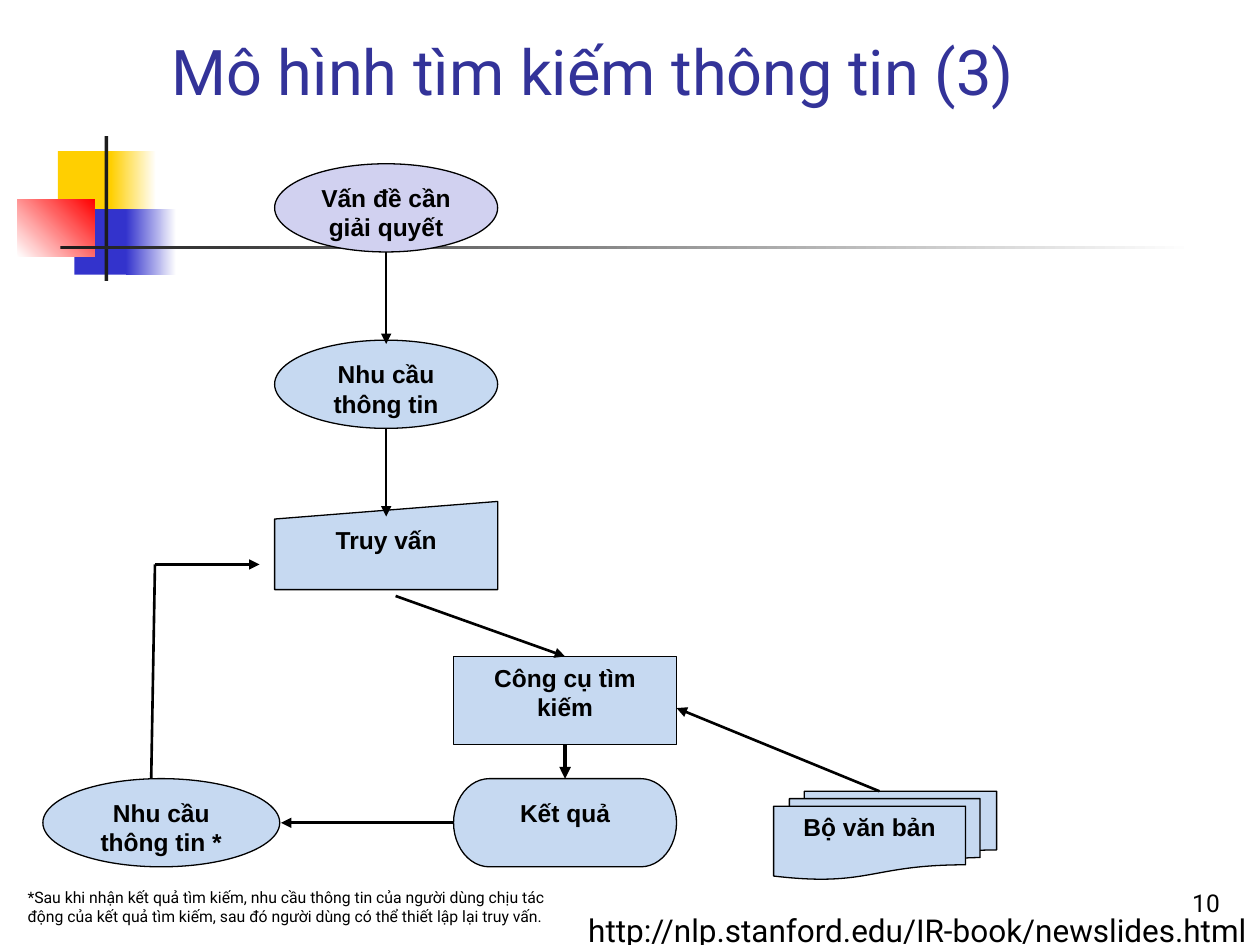
from lxml import etree
from pptx import Presentation
from pptx.dml.color import RGBColor
from pptx.enum.shapes import MSO_CONNECTOR, MSO_SHAPE
from pptx.enum.text import MSO_ANCHOR, MSO_AUTO_SIZE, PP_ALIGN
from pptx.oxml.ns import qn
from pptx.util import Inches, Pt

RECT = MSO_SHAPE.RECTANGLE
ELLIPSE = MSO_SHAPE.OVAL
MANUAL_INPUT = MSO_SHAPE.FLOWCHART_MANUAL_INPUT
PROCESS = MSO_SHAPE.FLOWCHART_PROCESS
TERMINATOR = MSO_SHAPE.FLOWCHART_TERMINATOR
MULTIDOCUMENT = MSO_SHAPE.FLOWCHART_MULTIDOCUMENT
STRAIGHT = MSO_CONNECTOR.STRAIGHT
TOP, BOTTOM = MSO_ANCHOR.TOP, MSO_ANCHOR.BOTTOM
LEFT, CENTER, RIGHT = PP_ALIGN.LEFT, PP_ALIGN.CENTER, PP_ALIGN.RIGHT
NO_FIT = MSO_AUTO_SIZE.NONE

WHITE = RGBColor(0xFF, 0xFF, 0xFF)
BLACK = RGBColor(0x00, 0x00, 0x00)
CHARCOAL = RGBColor(0x1C, 0x1C, 0x1C)
YELLOW = RGBColor(0xFF, 0xCF, 0x01)
BLUE = RGBColor(0x33, 0x33, 0xCC)
RED = RGBColor(0xFF, 0x00, 0x00)
TITLE_BLUE = RGBColor(0x33, 0x33, 0x99)
LILAC = RGBColor(0xD1, 0xD1, 0xF0)
PALE_BLUE = RGBColor(0xC6, 0xD9, 0xF1)

NODE_W, NODE_H = 1.77, 0.7


def inches(box):
    return [Inches(v) for v in box]


def set_text(tf, text, size, font, color=BLACK, bold=False, align=LEFT, anchor=TOP):
    tf.word_wrap = True
    tf.auto_size = NO_FIT
    tf.vertical_anchor = anchor
    tf.text = text
    p = tf.paragraphs[0]
    p.alignment = align
    f = p.runs[0].font
    f.size, f.name, f.bold = Pt(size), font, bold
    f.color.rgb = color


def add_title(s, box, text):
    title = s.shapes.title
    title.left, title.top, title.width, title.height = inches(box)
    set_text(title.text_frame, text, 36, "Roboto", TITLE_BLUE, anchor=BOTTOM)


def add_label(s, box, text, size, align=LEFT, anchor=TOP):
    label = s.shapes.add_textbox(*inches(box))
    set_text(label.text_frame, text, size, "Roboto", align=align, anchor=anchor)


def add_block(s, box, start, end=None, angle=0):
    sp = s.shapes.add_shape(RECT, *inches(box))
    sp.shadow.inherit = False
    sp.line.fill.background()
    if end is None:
        sp.fill.solid()
        sp.fill.fore_color.rgb = start
        return
    sp.fill.gradient()
    sp.fill.gradient_angle = angle
    for stop, position, color in zip(sp.fill.gradient_stops, (0, 1), (start, end)):
        stop.position = position
        stop.color.rgb = color


def add_ornament(s, box):
    x, y, w, h = box
    add_block(s, (x + 0.32, y + 0.12, 0.48, 0.52), YELLOW)
    add_block(s, (x + 0.74, y + 0.12, 0.36, 0.52), YELLOW, WHITE)
    add_block(s, (x + 0.45, y + 0.58, 0.46, 0.52), BLUE)
    add_block(s, (x + 0.86, y + 0.58, 0.4, 0.52), BLUE, WHITE)
    add_block(s, (x, y + 0.5, 0.61, 0.46), WHITE, RED, 45)
    add_block(s, (x + 0.69, y, 0.03, h), CHARCOAL)
    add_block(s, (x + 0.34, y + 0.87, w - 0.34, 0.03), CHARCOAL, WHITE)


def add_node(s, kind, left, top, text, fill=PALE_BLUE, width=NODE_W):
    sp = s.shapes.add_shape(kind, *inches((left, top, width, NODE_H)))
    sp.shadow.inherit = False
    sp.fill.solid()
    sp.fill.fore_color.rgb = fill
    sp.line.color.rgb = BLACK
    sp.line.width = Pt(0.75)
    set_text(sp.text_frame, text, 14, "Arial", bold=True, align=CENTER)
    return sp


def add_line(s, start, end, width=1.5, arrow=True):
    line = s.shapes.add_connector(STRAIGHT, *inches(start + end))
    line.line.color.rgb = BLACK
    line.line.width = Pt(width)
    if arrow:
        etree.SubElement(line.line._get_or_add_ln(), qn("a:tailEnd"), type="triangle")
    etree.SubElement(line._element.spPr, qn("a:effectLst"))
    return line


def add_flow(s, box):
    x, y, w, h = box
    query_x, engine_x = x + 1.84, x + 3.26
    query_mid, engine_mid = query_x + NODE_W / 2, engine_x + NODE_W / 2
    right, last_y = x + w, y + 4.88

    add_node(s, MULTIDOCUMENT, right - NODE_W, y + h - NODE_H, "Bộ văn bản")
    add_node(s, ELLIPSE, query_x, y, "Vấn đề cần giải quyết", LILAC)
    add_node(s, ELLIPSE, query_x, y + 1.4, "Nhu cầu thông tin")
    add_node(s, MANUAL_INPUT, query_x, y + 2.68, "Truy vấn")
    result = add_node(s, TERMINATOR, engine_x, last_y, "Kết quả")
    engine = add_node(s, PROCESS, engine_x, y + 3.91, "Công cụ tìm kiếm")
    add_node(s, ELLIPSE, x, last_y, "Nhu cầu thông tin *", width=1.88)

    add_line(s, (query_mid, y + NODE_H), (query_mid, y + 1.43))
    add_line(s, (query_mid, y + 2.1), (query_mid, y + 2.8))
    to_engine = add_line(s, (x + 2.8, y + 3.43), (engine_mid, y + 3.91))
    to_engine.end_connect(engine, 0)
    add_line(s, (right - 0.93, y + h - NODE_H), (engine_x + NODE_W, y + 4.32))
    to_need = add_line(s, (engine_x, last_y + 0.35), (x + 1.89, last_y + 0.35))
    to_need.begin_connect(result, 1)
    add_line(s, (x + 0.86, last_y), (x + 0.89, y + 3.18), arrow=False)
    add_line(s, (x + 0.89, y + 3.18), (x + 1.72, y + 3.18))
    to_result = add_line(s, (engine_mid, y + 4.61), (engine_mid, last_y), 2.25)
    to_result.begin_connect(engine, 2)
    to_result.end_connect(result, 0)


def add_footer(s, box):
    x, y, w, h = box
    link_x = x + 4.45
    add_label(s, (link_x, y + 0.35, x + w - link_x, 0.4),
              "http://nlp.stanford.edu/IR-book/newslides.html", 18)
    add_label(s, (x + w - 2.3, y, 2.08, 0.5), "10", 14, RIGHT, BOTTOM)
    add_label(s, (x, y + 0.17, 4.45, 0.4),
              "*Sau khi nhận kết quả tìm kiếm, nhu cầu thông tin của người dùng "
              "chịu tác động của kết quả tìm kiếm, sau đó người dùng có thể "
              "thiết lập lại truy vấn.", 9)


def main():
    prs = Presentation()
    prs.slide_width, prs.slide_height = Inches(10), Inches(7.5)
    s = prs.slides.add_slide(prs.slide_layouts[5])
    add_ornament(s, (0.14, 1.08, 9.34, 1.15))
    add_title(s, (1.26, 0.23, 8.52, 0.68), "Mô hình tìm kiếm thông tin (3)")
    add_flow(s, (0.34, 1.3, 7.57, 5.68))
    add_footer(s, (0.12, 6.83, 9.88, 0.75))
    prs.save("out.pptx")


if __name__ == "__main__":
    main()
